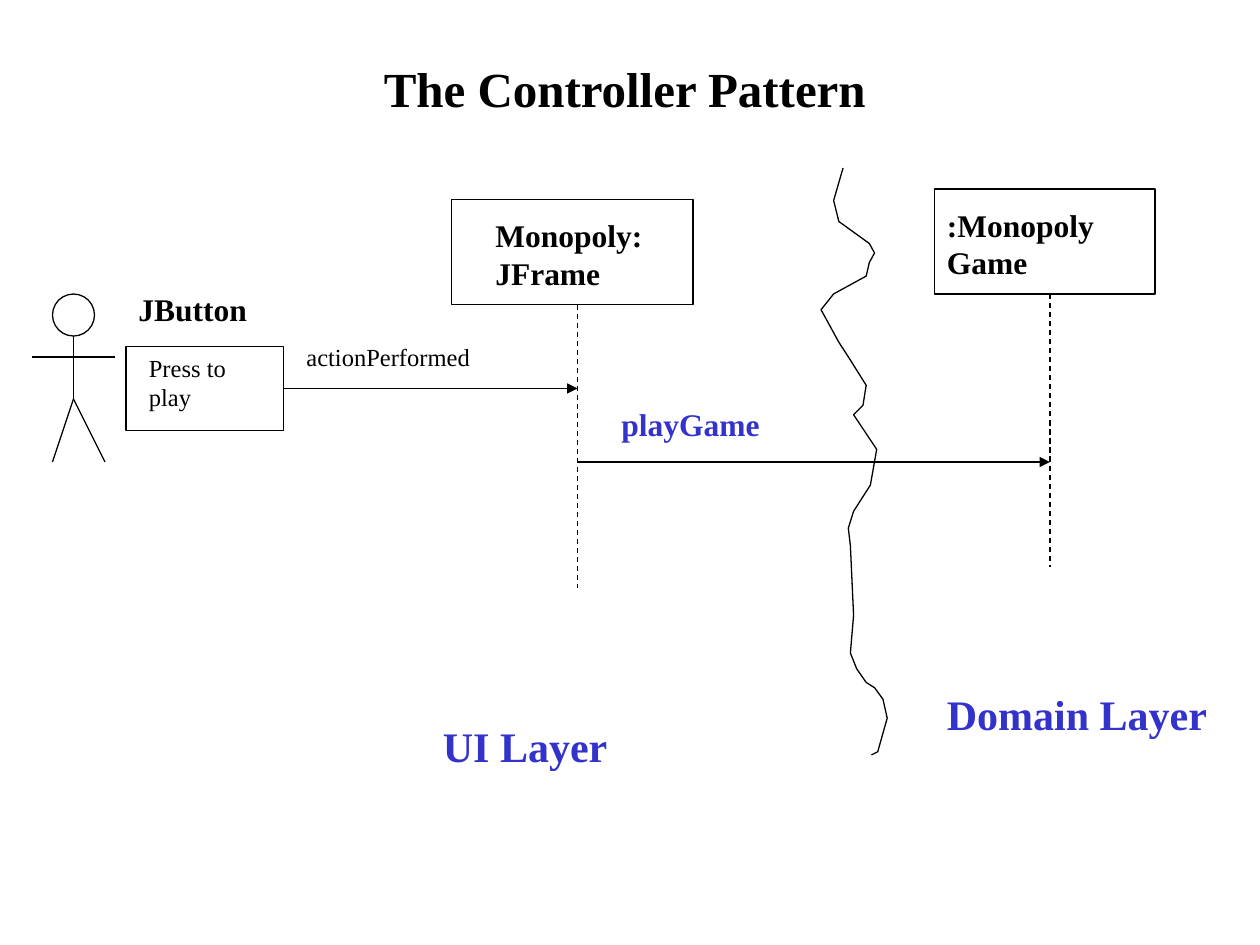
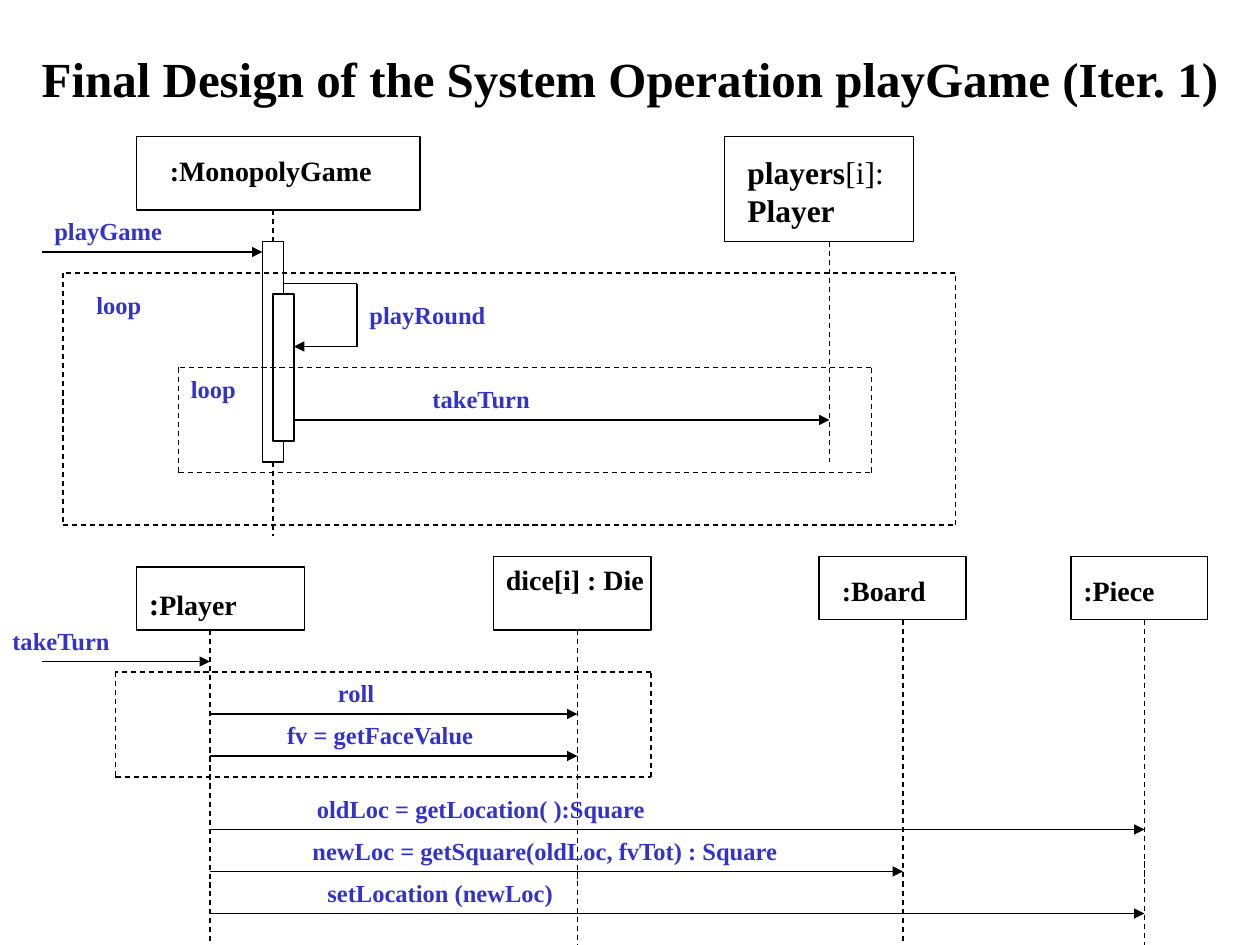
from dataclasses import dataclass
from itertools import pairwise

from lxml import etree
from pptx import Presentation
from pptx.dml.color import RGBColor
from pptx.enum.dml import MSO_LINE
from pptx.enum.shapes import MSO_CONNECTOR, MSO_SHAPE
from pptx.enum.text import MSO_ANCHOR, MSO_AUTO_SIZE, PP_ALIGN
from pptx.oxml.ns import qn
from pptx.util import Inches, Pt

RECTANGLE = MSO_SHAPE.RECTANGLE
OVAL = MSO_SHAPE.OVAL
STRAIGHT = MSO_CONNECTOR.STRAIGHT
DASH = MSO_LINE.DASH
TOP = MSO_ANCHOR.TOP
NO_FIT = MSO_AUTO_SIZE.NONE
LEFT = PP_ALIGN.LEFT
CENTER = PP_ALIGN.CENTER
TITLE_ONLY = 5


@dataclass(frozen=True)
class Theme:
    font: str = "Times New Roman"
    ink: RGBColor = RGBColor(0, 0, 0)
    paper: RGBColor = RGBColor(255, 255, 255)
    accent: RGBColor = RGBColor(0x33, 0x33, 0xCC)
    title: int = 28
    layer: int = 24
    name: int = 18
    small_name: int = 16
    message: int = 14
    stroke: float = 0.75


THEME = Theme()
WIDTH, HEIGHT = Inches(10), Inches(7.5)
CELL = WIDTH / 120
LAST_ROW = 90

LAYER_BORDER = [
    (80.3, 16), (79.4, 19.1), (79.9, 21.1), (82.8, 23.2), (83.3, 24.1),
    (82.8, 25), (82.5, 26.3), (79.4, 28), (78.2, 29.5), (79.9, 32.6),
    (81, 34.3), (82.5, 36.7), (82.2, 38.6), (81.3, 39.5), (83.5, 42.8),
    (82.9, 46.2), (81.3, 48.7), (80.8, 50.3), (81, 52), (81.3, 58.6),
    (81, 62.2), (81.6, 63.7), (82.5, 65), (83.3, 65.5), (84.1, 66.6),
    (84.5, 68.4), (83.6, 71.6), (83, 71.9),
]


def grid(*cells):
    return [round(cell * CELL) for cell in cells]


def write_text(frame, text, size=THEME.name, color=THEME.ink, bold=True, align=LEFT):
    frame.word_wrap = True
    frame.auto_size = NO_FIT
    frame.vertical_anchor = TOP
    para = frame.paragraphs[0]
    para.alignment = align
    spans = [(text, {})] if isinstance(text, str) else text
    for words, changes in spans:
        if changes.get("new_line"):
            para.add_line_break()
        span = para.add_run()
        span.text = words
        span.font.name = THEME.font
        span.font.size = Pt(changes.get("size", size))
        span.font.bold = changes.get("bold", bold)
        span.font.color.rgb = color


def add_page(deck, title, column, row, columns):
    page = deck.slides.add_slide(deck.slide_layouts[TITLE_ONLY])
    heading = page.shapes.title
    heading.left, heading.top, heading.width, heading.height = grid(column, row, columns, 6.8)
    write_text(heading.text_frame, title, size=THEME.title, align=CENTER)
    return page


def add_label(page, text, column, row, columns, rows=4, **text_format):
    box = page.shapes.add_textbox(*grid(column, row, columns, rows))
    write_text(box.text_frame, text, **text_format)


def set_stroke(line):
    line.color.rgb = THEME.ink
    line.width = Pt(THEME.stroke)


def add_box(page, column, row, columns, rows, kind=RECTANGLE):
    box = page.shapes.add_shape(kind, *grid(column, row, columns, rows))
    box.shadow.inherit = False
    box.fill.solid()
    box.fill.fore_color.rgb = THEME.paper
    set_stroke(box.line)


def add_line(page, start, end, dashed=False, arrow=False):
    connector = page.shapes.add_connector(STRAIGHT, *grid(*start, *end))
    set_stroke(connector.line)
    if dashed:
        connector.line.dash_style = DASH
    properties = connector.element.spPr
    if arrow:
        etree.SubElement(properties.find(qn("a:ln")), qn("a:tailEnd"), type="triangle")
    etree.SubElement(properties, qn("a:effectLst"))


def add_lifeline(page, column, top, bottom):
    add_line(page, (column, top), (column, bottom), dashed=True)


def add_loop(page, left, top, columns, rows):
    right, bottom = left + columns, top + rows
    corners = [(left, top), (left, bottom), (right, bottom), (right, top), (left, top)]
    for start, end in pairwise(corners):
        add_line(page, start, end, dashed=True)


def add_participant(page, text, box, label, lifeline, end, **text_format):
    add_box(page, *box)
    add_label(page, text, *label, **text_format)
    add_lifeline(page, lifeline, box[1] + box[3], end)


def add_message(page, text, start, end, row, label, **text_format):
    style = {"size": THEME.message, "color": THEME.accent} | text_format
    add_line(page, (start, row), (end, row), arrow=True)
    add_label(page, text, *label, **style)


def add_actor(page, center, top):
    add_box(page, center - 2, top, 4, 4, OVAL)
    hip = (center, top + 10)
    add_line(page, (center, top + 4), hip)
    for foot in (center - 2, center + 3):
        add_line(page, hip, (foot, top + 16))
    add_line(page, (center - 4, top + 6), (center + 4, top + 6))


def add_border(page, points):
    first, *rest = [grid(*point) for point in points]
    builder = page.shapes.build_freeform(*first)
    builder.add_line_segments(rest, close=False)
    border = builder.convert_to_shape()
    border.shadow.inherit = False
    border.fill.background()
    set_stroke(border.line)


def build_controller(deck):
    page = add_page(deck, "The Controller Pattern", 13, 5, 93)
    add_participant(page, "Monopoly: JFrame", (43, 19, 23, 10), (46, 20, 17, 8.4), 55, 56)
    add_participant(page, ":Monopoly Game", (89, 18, 21, 10), (89, 19, 22, 8.4), 100, 54)
    add_border(page, LAYER_BORDER)
    for text, column, row, columns in [
        ("UI Layer", 41, 68, 21),
        ("Domain Layer", 89, 65, 31),
    ]:
        add_label(page, text, column, row, columns, 6, size=THEME.layer, color=THEME.accent)
    add_message(page, "playGame", 55, 100, 44, (58, 38, 20, 4.8), size=THEME.name)
    add_actor(page, 7, 28)
    add_box(page, 12, 33, 15, 8)
    add_label(page, "Press to play", 13, 33, 12, 6.8, size=THEME.message, bold=False)
    add_label(page, "JButton", 12, 27, 16, 4.8)
    add_message(page, "actionPerformed", 27, 55, 37, (28, 32, 27), color=THEME.ink, bold=False)


def build_play_game(page):
    add_participant(page, ":MonopolyGame", (13, 13, 27, 7), (15, 14, 22, 4.4), 26, 42,
                    size=THEME.small_name)
    player = [("players", {}), ("[i]:", {"bold": False}), ("Player", {"new_line": True})]
    add_participant(page, player, (69, 13, 18, 10), (70, 14, 17, 8.4), 79, 44)
    add_box(page, 25, 23, 2, 21)
    add_message(page, "playGame", 4, 25, 24, (4, 20, 13))
    add_lifeline(page, 26, 44, 51)
    add_line(page, (34, 27), (34, 33))
    add_line(page, (27, 27), (34, 27))
    add_box(page, 26, 28, 2, 14)
    add_message(page, "playRound", 34, 28, 33, (34, 28, 21))
    add_message(page, "takeTurn", 28, 79, 40, (40, 36, 16))
    for loop, label in [
        ((17, 35, 66, 10), (17, 35, 8)),
        ((6, 26, 85, 24), (8, 27, 9)),
    ]:
        add_loop(page, *loop)
        add_label(page, "loop", *label, size=THEME.message, color=THEME.accent)


def build_take_turn(page):
    player, die, board, piece = 20, 55, 86, 109
    player_name = [(":", {"size": THEME.name}), ("Player", {})]
    for text, box, label, lifeline, end, resume in [
        (player_name, (13, 54, 16, 6), (13, 55, 15, 4.8), player, 85, 84),
        ("dice[i] : Die", (47, 53, 15, 7), (47, 53, 16, 4.4), die, 84, 83),
        (":Board", (78, 53, 14, 6), (79, 54, 13, 4.4), board, 84, 84),
        (":Piece", (102, 53, 13, 6), (102, 54, 13, 4.4), piece, 84, 82),
    ]:
        add_participant(page, text, box, label, lifeline, end, size=THEME.small_name)
        add_lifeline(page, lifeline, resume, LAST_ROW)
    add_loop(page, 11, 64, 51, 10)
    for text, start, end, row, column, columns in [
        ("takeTurn", 4, player, 63, 0, 12),
        ("roll", player, die, 68, 31, 9),
        ("fv = getFaceValue", player, die, 72, 26.16, 23.64),
        ("oldLoc = getLocation( ):Square", player, piece, 79, 29, 73),
        ("newLoc = getSquare(oldLoc, fvTot) : Square", player, board, 83, 28.58, 59),
        ("setLocation (newLoc)", player, piece, 87, 30, 59),
    ]:
        add_message(page, text, start, end, row, (column, row - 4, columns))


def main():
    deck = Presentation()
    deck.slide_width, deck.slide_height = WIDTH, HEIGHT
    build_controller(deck)
    design = add_page(
        deck, "Final Design of the System Operation playGame (Iter. 1)", 0, 4, 120
    )
    build_play_game(design)
    build_take_turn(design)
    deck.save("out.pptx")


if __name__ == "__main__":
    main()
